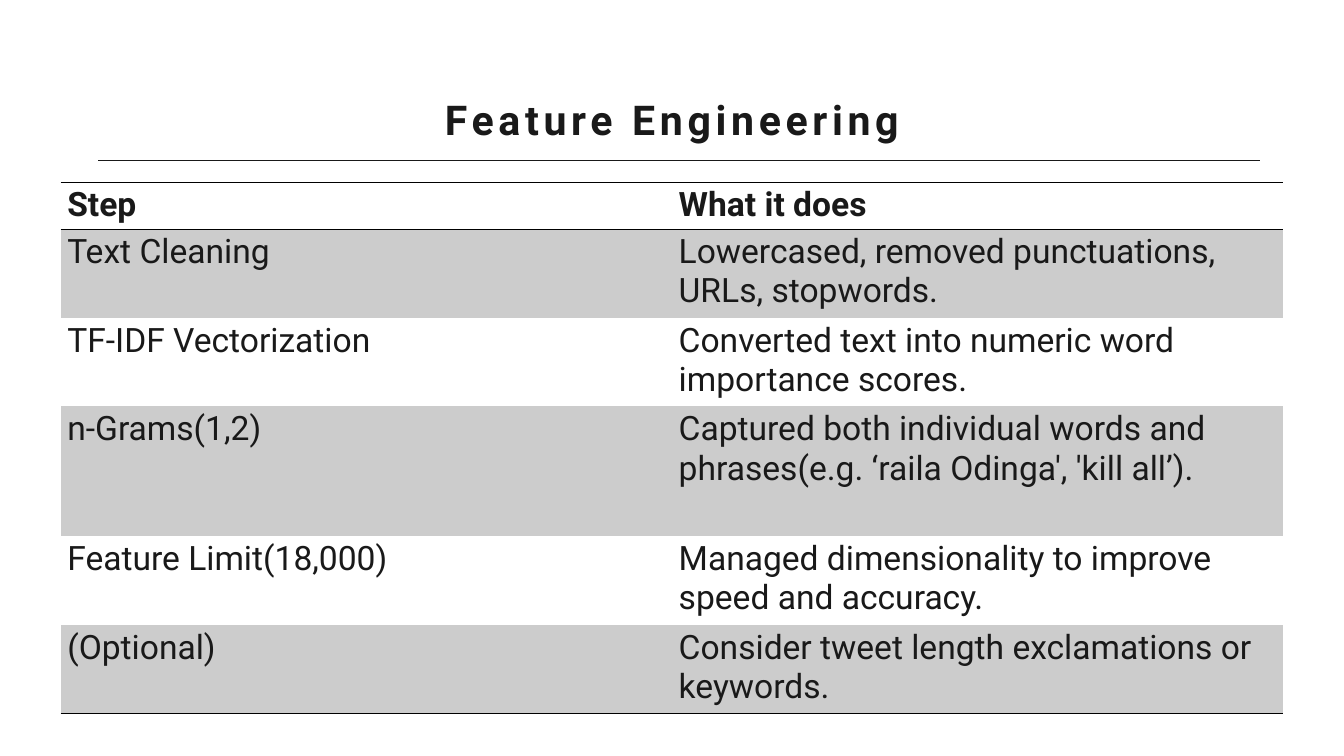
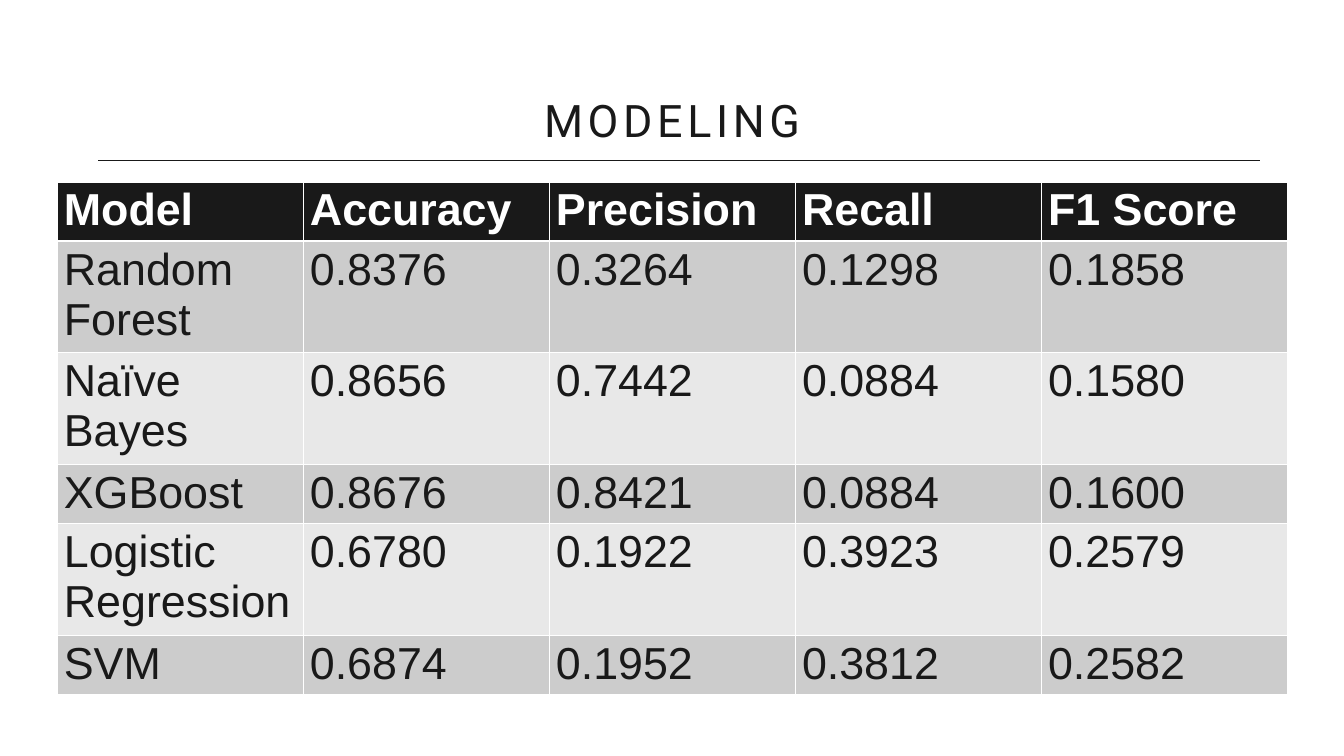
from lxml import etree
from pptx import Presentation
from pptx.dml.color import RGBColor
from pptx.enum import shapes, text
from pptx.oxml import ns
from pptx.util import Cm, Pt

COLORS = {
    "ink": "191919",
    "black": "000000",
    "white": "FFFFFF",
    "gray": "CCCCCC",
    "light": "E8E8E8",
}

PAGES = [
    {
        "title": "Feature Engineering",
        "title_size": 44,
        "title_bold": True,
        "left": 2.29,
        "column_width": 23.11,
        "row_heights": [1.78, 3.35, 3.35, 4.9, 3.35, 3.35],
        "font": "Roboto",
        "size": 36,
        "header_color": "ink",
        "header_fill": "white",
        "band_fills": ["gray", "white"],
        "rule_color": "black",
        "row_rules": [1, 1, 0, 0, 0, 0, 1],
        "column_rule": 0,
        "rows": [
            ["Step", "What it does"],
            ["Text Cleaning", "Lowercased, removed punctuations, URLs, stopwords."],
            ["TF-IDF Vectorization", "Converted text into numeric word importance scores."],
            ["n-Grams(1,2)", "Captured both individual words and phrases(e.g. ‘raila Odinga', 'kill all’)."],
            ["Feature Limit(18,000)", "Managed dimensionality to improve speed and accuracy."],
            ["(Optional)", "Consider tweet length exclamations or keywords."],
        ],
    },
    {
        "title": "MODELING",
        "title_size": 48,
        "title_bold": False,
        "left": 2.16,
        "column_width": 9.3,
        "row_heights": [2.24, 4.22, 4.22, 2.24, 4.22, 2.24],
        "font": "Arial",
        "size": 48,
        "header_color": "white",
        "header_fill": "ink",
        "band_fills": ["gray", "light"],
        "rule_color": "white",
        "row_rules": [1, 3, 1, 1, 1, 1, 1],
        "column_rule": 1,
        "rows": [
            ["Model", "Accuracy", "Precision", "Recall", "F1 Score"],
            ["Random Forest", "0.8376", "0.3264", "0.1298", "0.1858"],
            ["Naïve Bayes", "0.8656", "0.7442", "0.0884", "0.1580"],
            ["XGBoost", "0.8676", "0.8421", "0.0884", "0.1600"],
            ["Logistic Regression", "0.6780", "0.1922", "0.3923", "0.2579"],
            ["SVM", "0.6874", "0.1952", "0.3812", "0.2582"],
        ],
    },
]


def style_font(font, name, size, bold, color):
    font.name = name
    font.size = Pt(size)
    font.bold = bold
    font.color.rgb = RGBColor.from_string(COLORS[color])


def add_border(cell, side, width, color):
    properties = cell._tc.get_or_add_tcPr()
    line = etree.SubElement(properties, ns.qn(f"a:ln{side}"), w=str(Pt(width)))
    if width:
        fill = etree.SubElement(line, ns.qn("a:solidFill"))
        etree.SubElement(fill, ns.qn("a:srgbClr"), val=COLORS[color])
    else:
        etree.SubElement(line, ns.qn("a:noFill"))


presentation = Presentation()
presentation.slide_width = Cm(50.8)
presentation.slide_height = Cm(28.58)
title_only = presentation.slide_layouts[5]

for page in PAGES:
    slide = presentation.slides.add_slide(title_only)

    title = slide.shapes.title
    title.left, title.top = Cm(3.18), Cm(2.92)
    title.width, title.height = Cm(44.45), Cm(3.18)
    frame = title.text_frame
    frame.text = page["title"]
    frame.word_wrap = True
    frame.auto_size = text.MSO_AUTO_SIZE.NONE
    frame.vertical_anchor = text.MSO_ANCHOR.MIDDLE
    frame.margin_left = frame.margin_right = Cm(0.5)
    frame.margin_top = frame.margin_bottom = Cm(0.5)
    paragraph = frame.paragraphs[0]
    paragraph.alignment = text.PP_ALIGN.CENTER
    run = paragraph.runs[0]
    style_font(run.font, "Roboto", page["title_size"], page["title_bold"], "ink")
    run._r.get_or_add_rPr().set("spc", "500")

    underline = slide.shapes.add_connector(
        shapes.MSO_CONNECTOR.STRAIGHT, Cm(3.71), Cm(6.07), Cm(47.62), Cm(6.07)
    )
    underline.line.color.rgb = RGBColor.from_string(COLORS["ink"])
    underline.line.width = Pt(0.75)
    etree.SubElement(underline._element.spPr, ns.qn("a:effectLst"))

    rows = page["rows"]
    column_count = len(rows[0])
    table = slide.shapes.add_table(
        len(rows), column_count, Cm(page["left"]), Cm(6.88),
        Cm(page["column_width"] * column_count), Cm(sum(page["row_heights"])),
    ).table
    for column in table.columns:
        column.width = Cm(page["column_width"])

    for row_index, values in enumerate(rows):
        table.rows[row_index].height = Cm(page["row_heights"][row_index])
        is_header = row_index == 0
        fill = page["header_fill"] if is_header else page["band_fills"][(row_index - 1) % 2]
        font_color = page["header_color"] if is_header else "ink"
        above, below = page["row_rules"][row_index:row_index + 2]
        widths = {"L": page["column_rule"], "R": page["column_rule"], "T": above, "B": below}

        for column_index, value in enumerate(values):
            cell = table.cell(row_index, column_index)
            cell.text_frame.text = value
            run = cell.text_frame.paragraphs[0].runs[0]
            style_font(run.font, page["font"], page["size"], is_header, font_color)
            for side, width in widths.items():
                add_border(cell, side, width, page["rule_color"])
            cell.fill.solid()
            cell.fill.fore_color.rgb = RGBColor.from_string(COLORS[fill])

presentation.save("out.pptx")
